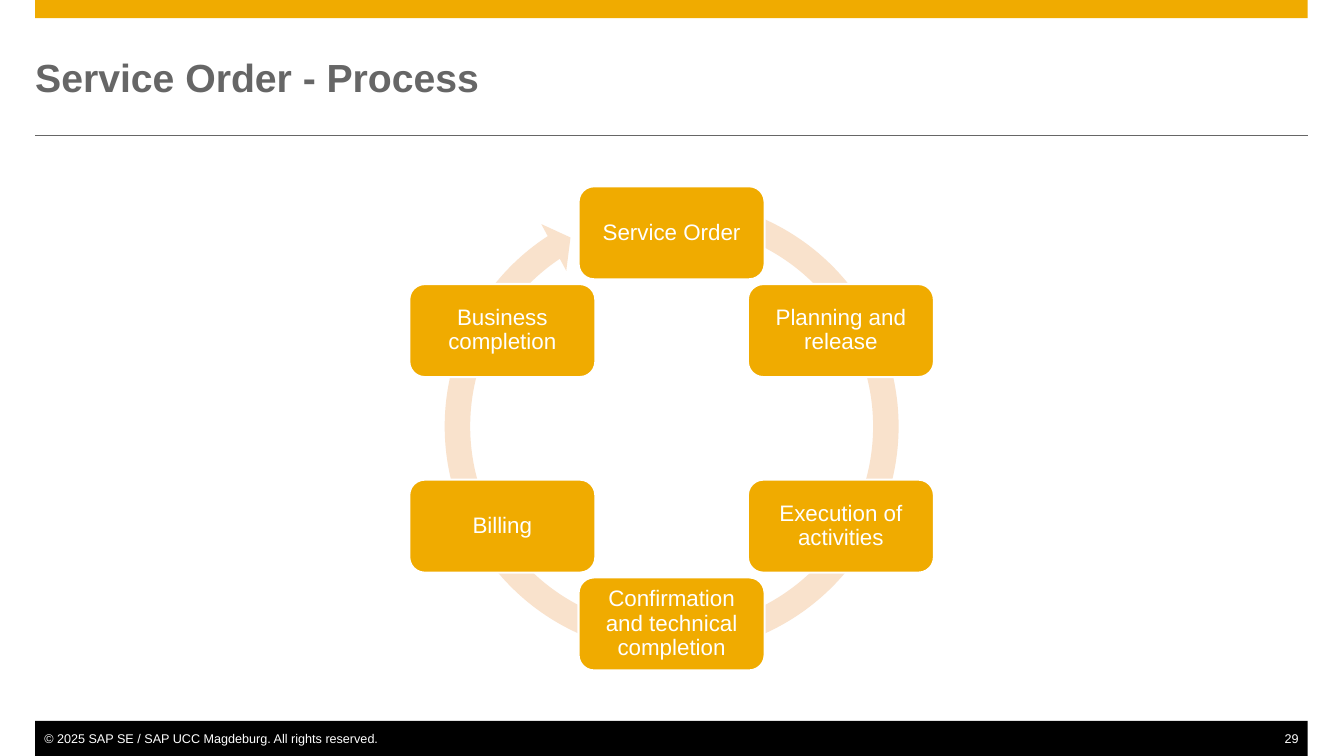
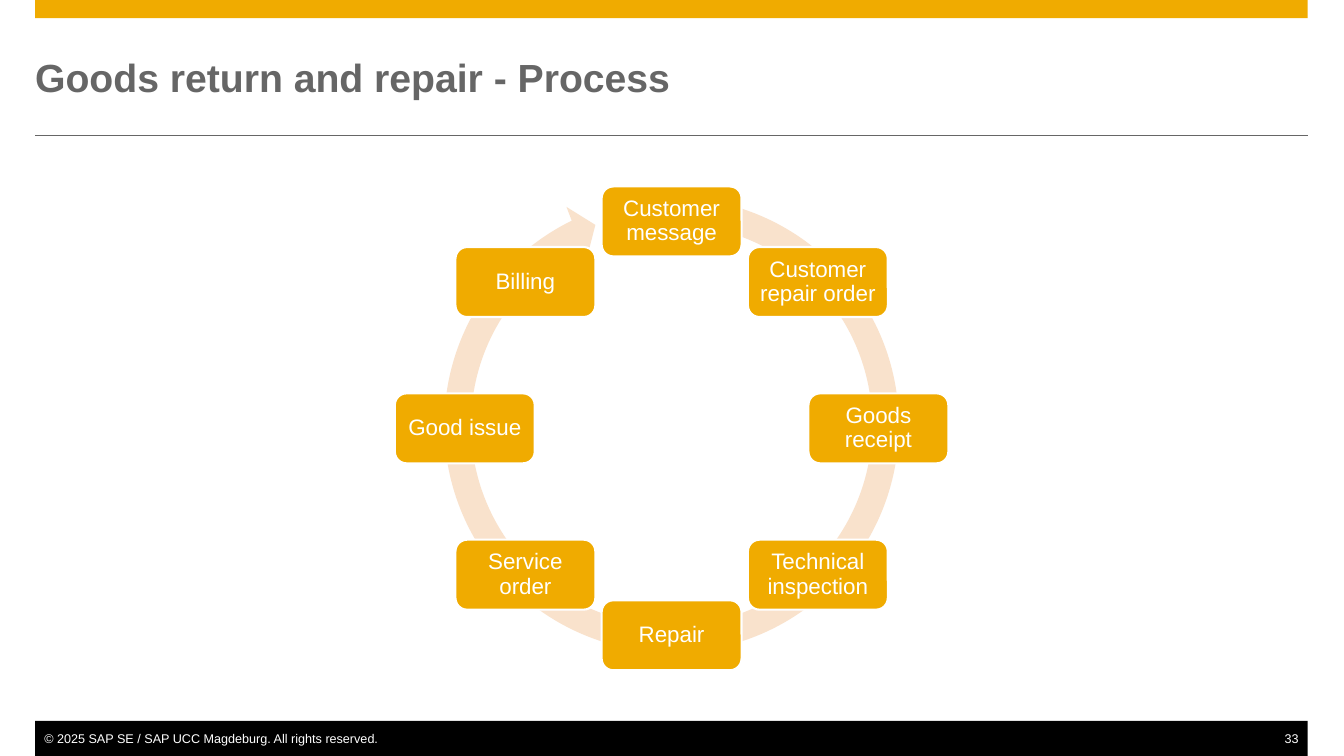
import math

import lxml.etree
import pptx
import pptx.dml.color
import pptx.enum.shapes
import pptx.enum.text
import pptx.oxml.ns
import pptx.util

Pt = pptx.util.Pt
Shapes = pptx.enum.shapes.MSO_SHAPE
Align = pptx.enum.text.PP_ALIGN
Anchor = pptx.enum.text.MSO_ANCHOR

GOLD, PEACH, GRAY, BLACK, WHITE = "F0AB00", "F9E2CC", "666666", "000000", "FFFFFF"
LEFT, WIDTH = 25.2, 909.4
CENTER_X, CENTER_Y = 480, 306

TITLE = {
    "font": {"name": "Arial", "size": Pt(28), "bold": True},
    "paragraph": {"alignment": Align.LEFT},
    "margins": (0, 0, 0, 0),
    "color": GRAY,
}
FOOTER = {
    "font": {"name": "Arial", "size": Pt(9)},
    "paragraph": {"alignment": Align.LEFT},
    "margins": (6.5, 0, 6.5, 0),
    "color": WHITE,
}
PAGE_NUMBER = {**FOOTER, "paragraph": {"alignment": Align.RIGHT}}
STEP = {
    "font": {"name": "Arial", "size": Pt(16)},
    "paragraph": {"alignment": Align.CENTER, "line_spacing": 0.9},
    "margins": (4.8, 4.8, 4.8, 4.8),
    "color": WHITE,
}

BANDS = [(0, 13, GOLD), (515, 25, BLACK)]

PROCESSES = [
    {
        "title": "Service Order - Process",
        "page": "29",
        "steps": [
            "Service Order",
            "Planning and release",
            "Execution of activities",
            "Confirmation and technical completion",
            "Billing",
            "Business completion",
        ],
        "radius": 139.7,
        "box": (133, 66.5),
        "arrow_size": 344,
        "arrow_center_y": 304.6,
        "thickness_percent": 5.3,
        "head_percent": 5.5,
        "arrow_degrees": (5.21, 236.62, 285.75),
    },
    {
        "title": "Goods return and repair - Process",
        "page": "33",
        "steps": [
            "Customer message",
            "Customer repair order",
            "Goods receipt",
            "Technical inspection",
            "Repair",
            "Service order",
            "Good issue",
            "Billing",
        ],
        "radius": 147.8,
        "box": (100, 50),
        "arrow_size": 346,
        "arrow_center_y": 303.6,
        "thickness_percent": 5.5,
        "head_percent": 5.8,
        "arrow_degrees": (5.51, 243.62, 281.54),
    },
]


def paint(fill, color):
    fill.solid()
    fill.fore_color.rgb = pptx.dml.color.RGBColor.from_string(color)


def write(shape, text, style):
    frame = shape.text_frame
    frame.word_wrap = True
    frame.vertical_anchor = Anchor.MIDDLE
    for side, margin in zip(("left", "top", "right", "bottom"), style["margins"]):
        setattr(frame, f"margin_{side}", Pt(margin))
    paragraph = frame.paragraphs[0]
    run = paragraph.add_run()
    run.text = text
    for target, values in ((paragraph, style["paragraph"]), (run.font, style["font"])):
        for name, value in values.items():
            setattr(target, name, value)
    paint(run.font.fill, style["color"])


presentation = pptx.Presentation()
presentation.slide_width = Pt(960.48)
presentation.slide_height = Pt(540)

for process in PROCESSES:
    slide = presentation.slides.add_slide(presentation.slide_layouts[6])
    shapes = slide.shapes

    for top, height, color in BANDS:
        band = shapes.add_shape(Shapes.RECTANGLE, Pt(LEFT), Pt(top), Pt(WIDTH), Pt(height))
        band.shadow.inherit = False
        paint(band.fill, color)
        band.line.fill.background()

    rule = shapes.add_connector(
        pptx.enum.shapes.MSO_CONNECTOR.STRAIGHT, Pt(LEFT), Pt(97), Pt(LEFT + WIDTH), Pt(97)
    )
    paint(rule.line.fill, GRAY)
    rule.line.width = Pt(0.5)
    lxml.etree.SubElement(rule._element.spPr, pptx.oxml.ns.qn("a:effectLst"))

    for text, top, height, style in (
        ("© 2025 SAP SE / SAP UCC Magdeburg. All rights reserved.", 522, 11, FOOTER),
        (process["page"], 522, 11, PAGE_NUMBER),
        (process["title"], 25.2, 60, TITLE),
    ):
        write(shapes.add_textbox(Pt(LEFT), Pt(top), Pt(WIDTH), Pt(height)), text, style)

    size = process["arrow_size"]
    arrow = shapes.add_shape(
        Shapes.CIRCULAR_ARROW,
        Pt(CENTER_X - size / 2),
        Pt(process["arrow_center_y"] - size / 2),
        Pt(size),
        Pt(size),
    )
    arrow.shadow.inherit = False
    paint(arrow.fill, PEACH)
    arrow.line.fill.background()
    adjustments = [
        process["thickness_percent"] / 100,
        *(degrees * 0.6 for degrees in process["arrow_degrees"]),
        process["head_percent"] / 100,
    ]
    for index, adjustment in enumerate(adjustments):
        arrow.adjustments[index] = adjustment

    width, height = process["box"]
    for index, text in enumerate(process["steps"]):
        angle = math.tau * index / len(process["steps"])
        left = CENTER_X + process["radius"] * math.sin(angle) - width / 2
        top = CENTER_Y - process["radius"] * math.cos(angle) - height / 2
        step = shapes.add_shape(
            Shapes.ROUNDED_RECTANGLE, Pt(left), Pt(top), Pt(width), Pt(height)
        )
        step.shadow.inherit = False
        paint(step.fill, GOLD)
        paint(step.line.fill, WHITE)
        step.line.width = Pt(1.5)
        write(step, text, STEP)

presentation.save("out.pptx")
